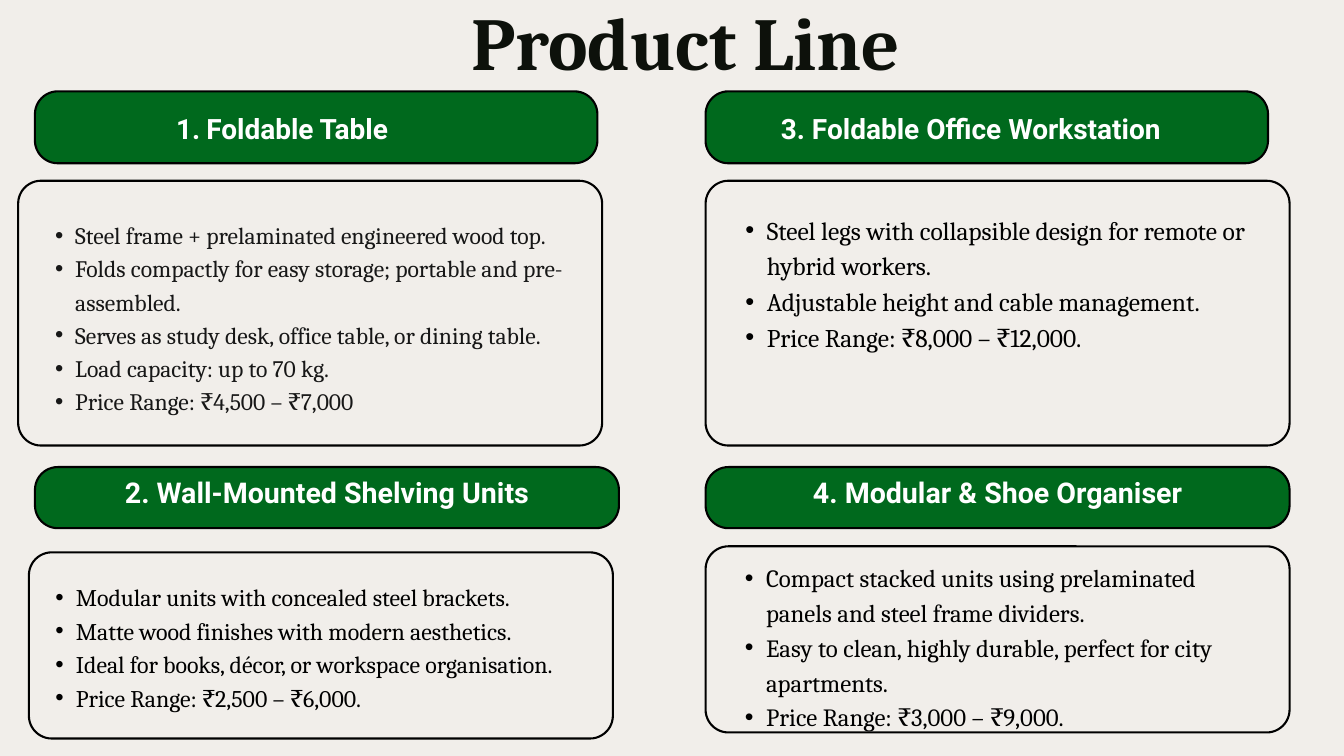
import pptx
import pptx.util
import pptx.dml.color
import pptx.enum.shapes
import pptx.enum.text
from lxml import etree
from pptx.oxml.ns import qn

WIDTH, HEIGHT = 20, 11.25
COLUMNS = (0.52, 10.5)
HEADER_ROWS = (1.36, 6.95)
WIDE, NARROW = 8.69, 8.37
HEADER_SIZES = ((NARROW, 1.07), (WIDE, 0.91))
PANEL_HEIGHTS = (3.94, 2.77)
RADIUS = 0.34
COLORS = {"background": "F1EEEA", "title": "0D110B", "green": "00691D",
          "white": "FFFFFF", "black": "000000", "charcoal": "171717"}

TITLE = "Product Line"
# Each product has its grid cell, the corner of its panel, the box of its
# heading, and the box, indent, size and line pitch of its list.
PRODUCTS = [
    {"cell": (0, 0), "panel": (0.27, 2.69),
     "heading": "Foldable Table", "numbered": True,
     "heading_box": (2.26, 1.58, 3.93, 0.55),
     "list_box": (0.52, 3.22, 8.37, 3.41),
     "indent": 0.3, "size": 25.3, "pitch": 35.5, "color": "charcoal",
     "points": ["Steel frame + prelaminated engineered wood top.",
                "Folds compactly for easy storage; portable and pre-assembled.",
                "Serves as study desk, office table, or dining table.",
                "Load capacity: up to 70 kg.",
                "Price Range: ₹4,500 – ₹7,000"]},
    {"cell": (0, 1), "panel": (0.43, 8.22),
     "heading": "2. Wall-Mounted Shelving Units",
     "list_box": (0.52, 8.6, 8.52, 1.94),
     "indent": 0.305, "size": 25.6, "pitch": 35.9, "color": "black",
     "points": ["Modular units with concealed steel brackets.",
                "Matte wood finishes with modern aesthetics.",
                "Ideal for books, décor, or workspace organisation.",
                "Price Range: ₹2,500 – ₹6,000."]},
    {"cell": (1, 0), "panel": (10.5, 2.69),
     "heading": "3. Foldable Office Workstation",
     "heading_box": (11.62, 1.58, 6.13, 0.55),
     "list_box": (10.77, 3.12, 8.11, 2.06),
     "indent": 0.32, "size": 27.3, "pitch": 38.2, "color": "black",
     "points": ["Steel legs with collapsible design for remote or hybrid workers.",
                "Adjustable height and cable management.",
                "Price Range: ₹8,000 – ₹12,000."]},
    {"cell": (1, 1), "panel": (10.5, 8.13),
     "heading": "4. Modular & Shoe Organiser",
     "list_box": (10.77, 8.3, 8.08, 2.54),
     "indent": 0.315, "size": 26.6, "pitch": 37.3, "color": "black",
     "points": ["Compact stacked units using prelaminated panels and steel frame dividers.",
                "Easy to clean, highly durable, perfect for city apartments.",
                "Price Range: ₹3,000 – ₹9,000."]},
]


def rgb(name):
    return pptx.dml.color.RGBColor.from_string(COLORS[name])


def inches(box):
    return [pptx.util.Inches(length) for length in box]


def add_rounded_box(slide, box, fill=None):
    kind = pptx.enum.shapes.MSO_SHAPE.ROUNDED_RECTANGLE
    shape = slide.shapes.add_shape(kind, *inches(box))
    shape.adjustments[0] = RADIUS / min(box[2:])
    shape.shadow.inherit = False
    if fill:
        shape.fill.solid()
        shape.fill.fore_color.rgb = rgb(fill)
    else:
        shape.fill.background()
    shape.line.color.rgb = rgb("black")
    shape.line.width = pptx.util.Pt(2.25)


def add_marker(paragraph, indent, hanging, numbered):
    """Give the paragraph a hanging bullet or automatic number."""
    paragraph.level = 1
    properties = paragraph._p.get_or_add_pPr()
    properties.set("marL", str(pptx.util.Inches(indent)))
    properties.set("indent", str(-pptx.util.Inches(hanging)))
    if numbered:
        etree.SubElement(properties, qn("a:buAutoNum"), type="arabicPeriod")
    else:
        etree.SubElement(properties, qn("a:buFont"), typeface="Arial")
        etree.SubElement(properties, qn("a:buChar"), char="•")


def add_text(slide, box, lines, font, size, pitch, color, bold=False,
             centered=False, middle=False, inset=0, marker=None):
    """Add a text box; marker is (indent, hanging, numbered)."""
    frame = slide.shapes.add_textbox(*inches(box)).text_frame
    frame.word_wrap = True
    frame.margin_left = frame.margin_right = pptx.util.Inches(inset)
    frame.margin_top = frame.margin_bottom = pptx.util.Inches(inset)
    if middle:
        frame.vertical_anchor = pptx.enum.text.MSO_ANCHOR.MIDDLE
    for index, line in enumerate(lines):
        paragraph = frame.add_paragraph() if index else frame.paragraphs[0]
        if marker:
            add_marker(paragraph, *marker)
        if centered:
            paragraph.alignment = pptx.enum.text.PP_ALIGN.CENTER
        paragraph.line_spacing = pptx.util.Pt(pitch)
        run = paragraph.add_run()
        run.text = line
        run.font.name = font
        run.font.size = pptx.util.Pt(size)
        run.font.bold = bold
        run.font.color.rgb = rgb(color)


def add_heading(slide, product, header):
    left, top, width, height = header
    style = {"font": "Roboto", "color": "white", "bold": True}
    lines = [product["heading"]]
    if "heading_box" in product:
        marker = (0.81, 0.45, True) if product.get("numbered") else None
        add_text(slide, product["heading_box"], lines, size=30, pitch=42,
                 marker=marker, **style)
    else:
        raised = 0.24
        add_text(slide, (left, top - raised, width, height + raised), lines,
                 size=30.6, pitch=42.9, centered=True, middle=True,
                 inset=0.06, **style)


def add_product(slide, product):
    column, row = product["cell"]
    header = (COLUMNS[column], HEADER_ROWS[row], *HEADER_SIZES[row])
    add_rounded_box(slide, header, "green")
    add_heading(slide, product, header)
    add_rounded_box(slide, (*product["panel"], WIDE, PANEL_HEIGHTS[row]))
    hanging = product["indent"]
    add_text(slide, product["list_box"], product["points"], "Cambria",
             product["size"], product["pitch"], product["color"],
             marker=(2 * hanging, hanging, False))


def main():
    presentation = pptx.Presentation()
    presentation.slide_width, presentation.slide_height = inches((WIDTH, HEIGHT))
    slide = presentation.slides.add_slide(presentation.slide_layouts[6])
    slide.background.fill.solid()
    slide.background.fill.fore_color.rgb = rgb("background")
    add_text(slide, (4.02, 0.27, 12.37, 1.09), [TITLE], "Cambria", 80, 72,
             "title", bold=True, centered=True)
    for product in PRODUCTS:
        add_product(slide, product)
    presentation.save("out.pptx")


if __name__ == "__main__":
    main()
